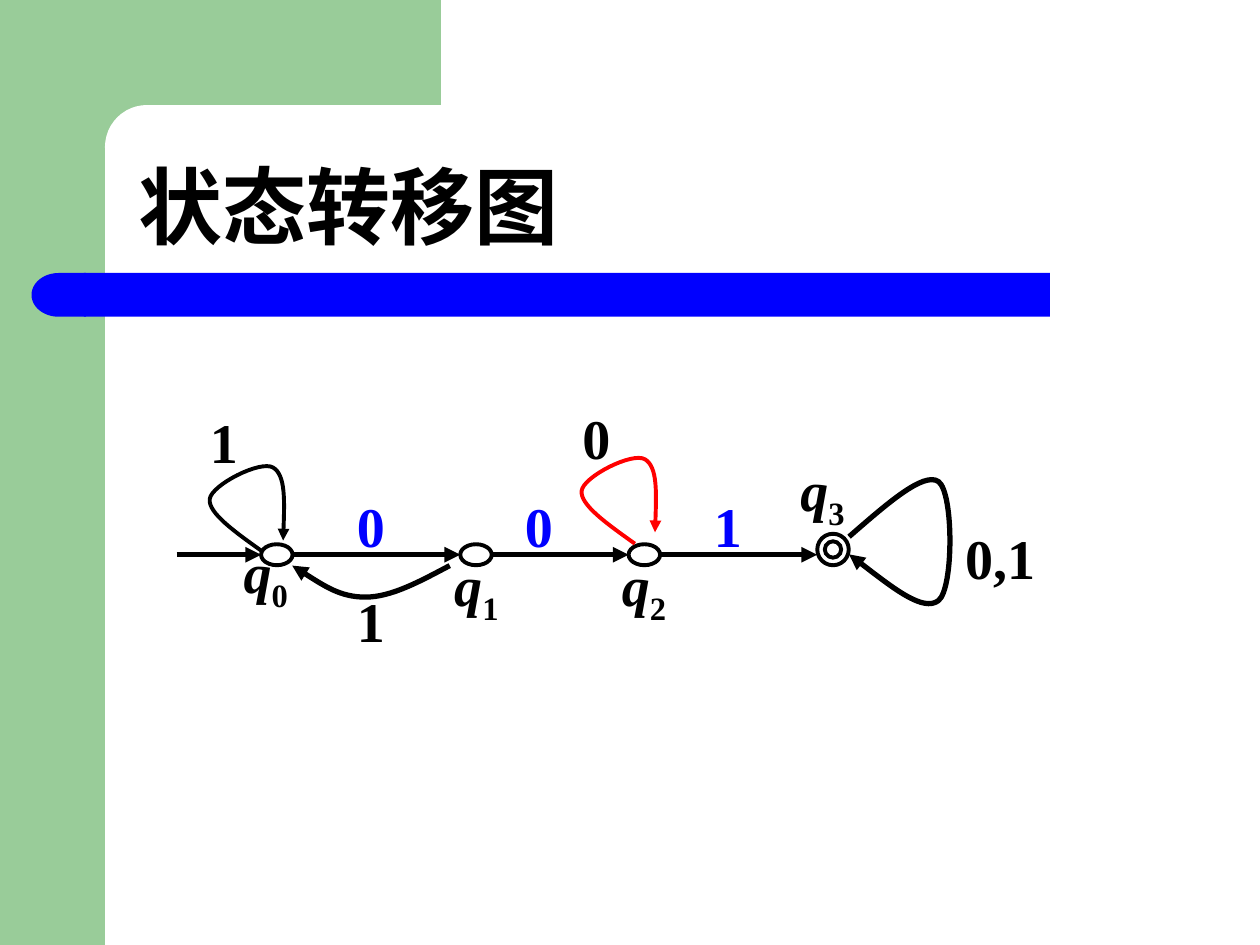
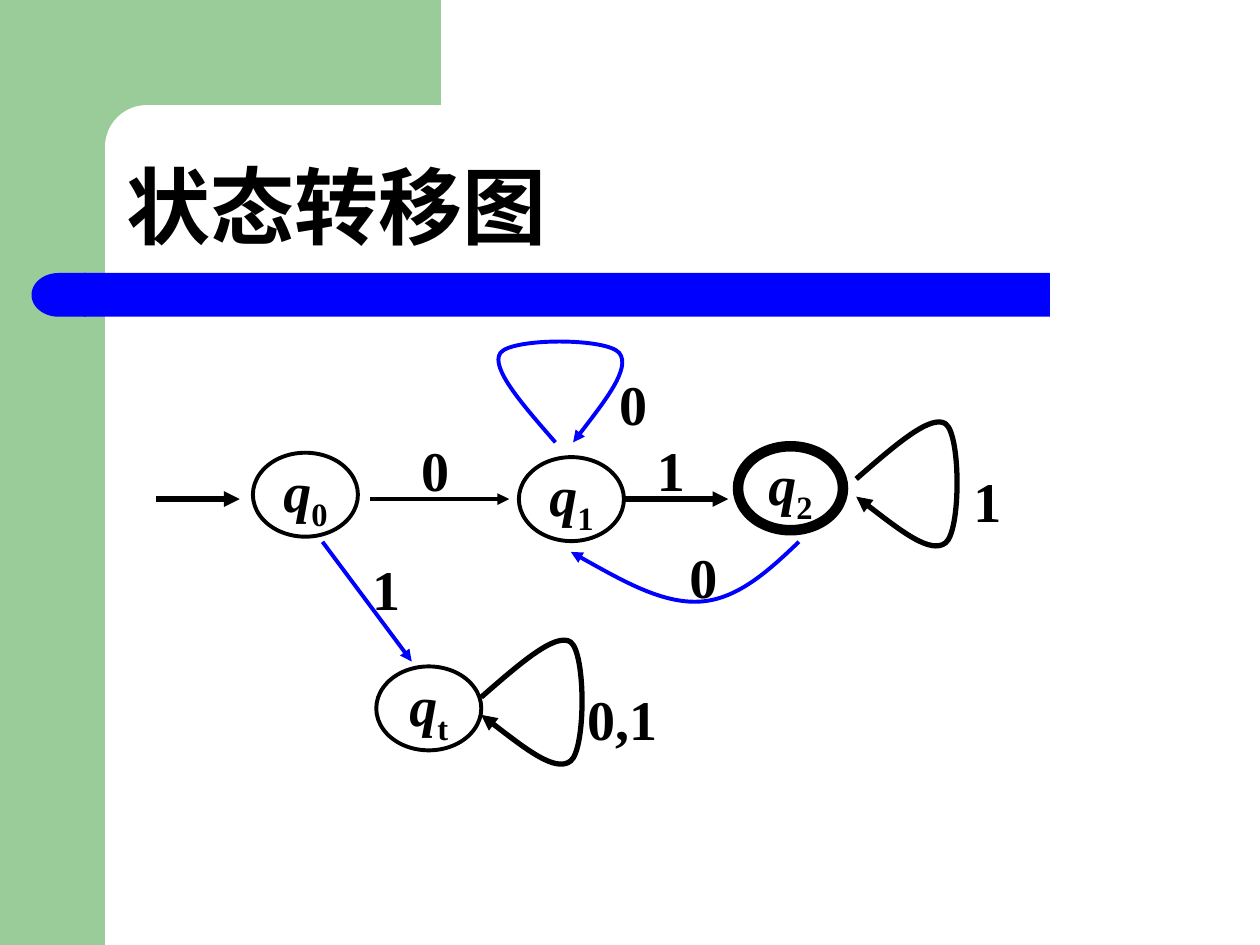
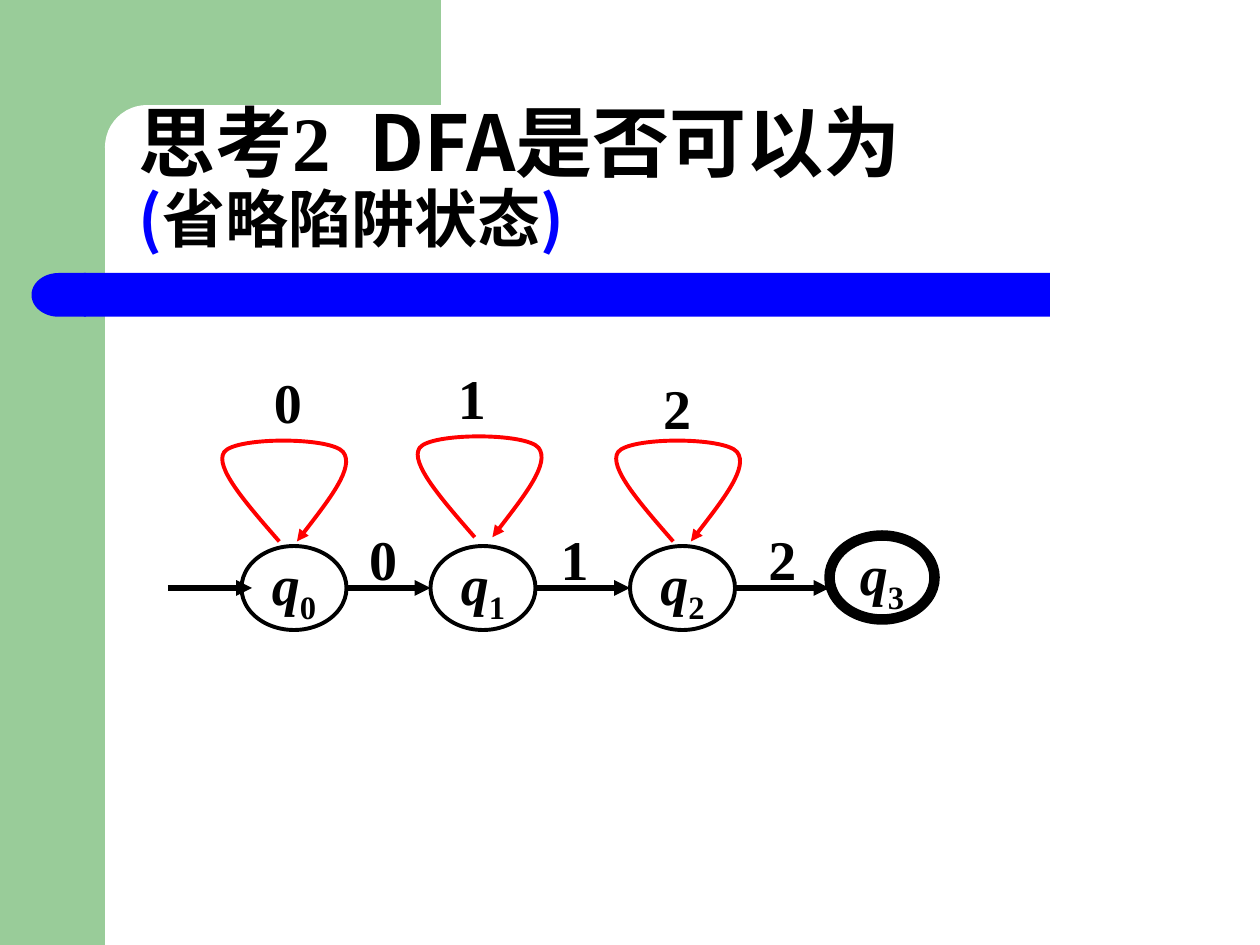
from dataclasses import dataclass

import lxml.etree
import pptx
import pptx.dml.color
import pptx.enum.shapes
import pptx.enum.text
import pptx.oxml.ns
import pptx.util

Pt = pptx.util.Pt
Preset = pptx.enum.shapes.MSO_SHAPE
Anchor = pptx.enum.text.MSO_ANCHOR
Align = pptx.enum.text.PP_ALIGN
qn = pptx.oxml.ns.qn

BLACK, WHITE, BLUE, RED, GREEN = "000000", "FFFFFF", "0000FF", "FF0000", "99CC99"
LATIN, CHINESE = "Times New Roman", "Noto Sans CJK SC"
THIN, THICK, ACCEPTING = 2.25, 3, 6
STATE_WIDTH, STATE_HEIGHT = 60, 48
DOT_WIDTH, DOT_HEIGHT = 18, 12
UPWARD = 270

RIGHT_LOOP = [(0, 0), (21.5, -18.7), (42.7, -37.4), (51.1, -31.5),
              (59.8, -25), (59.8, 29.5), (51.1, 36.5),
              (42.5, 43.2), (21.5, 26.6), (0, 10.1)]
LEFT_LOOP = [(0, 0), (-15.7, -11.2), (-31.5, -22.3), (-30.4, -30.2),
             (-29.5, -38.2), (-1.4, -52.6), (5.8, -48.2),
             (13, -43.9), (12.2, -25.2), (11.5, -6.5)]
SHALLOW_ARC = [(0, 0), (-16.5, 8.7), (-33.1, 18), (-48.2, 18),
               (-62.6, 18), (-76.3, 8.7), (-90, 0)]
DEEP_ARC = [(0, 0), (-17.3, 16.6), (-35.3, 33.1), (-56.9, 34.2),
            (-78.5, 35.3), (-104.5, 20.2), (-130.3, 5.8)]


@dataclass
class Block:
    preset: int
    left: float
    top: float
    width: float
    height: float
    color: str
    rotation: float = 0


@dataclass
class State:
    subscript: str
    left: float
    top: float
    weight: float = THIN


@dataclass
class Label:
    text: str
    left: float
    top: float
    width: float = 18
    color: str = BLACK
    subscript: str = ""


@dataclass
class Arrow:
    start: tuple[float, float]
    end: tuple[float, float]
    weight: float = THICK
    color: str = BLACK


@dataclass
class Curve:
    outline: list[tuple[float, float]]
    left: float
    top: float
    weight: float = THIN
    color: str = BLACK
    rotation: float = 0


@dataclass
class TitleRun:
    text: str
    font: str = CHINESE
    size: float = 48
    color: str = BLACK
    spacing: float = 0


BACKDROP = [
    Block(Preset.RECTANGLE, 0, 0, 60, 540, GREEN),
    Block(Preset.RECTANGLE, 54, 0, 198, 84, GREEN),
    Block(Preset.ROUNDED_RECTANGLE, 60, 60, 402, 48, WHITE),
    Block(Preset.RECTANGLE, 48, 156, 552, 25, BLUE),
    Block(Preset.FLOWCHART_DELAY, 18, 156, 31, 25, BLUE, 180),
]


def rgb(color: str) -> pptx.dml.color.RGBColor:
    return pptx.dml.color.RGBColor.from_string(color)


def style_line(shape, weight: float, color: str, arrow: bool = False) -> None:
    shape.line.width = Pt(weight)
    shape.line.color.rgb = rgb(color)
    if arrow:
        line = shape.element.spPr.find(qn("a:ln"))
        lxml.etree.SubElement(line, qn("a:tailEnd"), type="triangle")


def style_font(font, name: str, size: float, color: str) -> None:
    font.name = name
    font.size = Pt(size)
    font.bold = True
    font.color.rgb = rgb(color)


def draw_backdrop(page, layout) -> None:
    for index, block in enumerate(BACKDROP):
        shape = page.shapes.add_shape(block.preset, Pt(block.left), Pt(block.top),
                                      Pt(block.width), Pt(block.height))
        shape.shadow.inherit = False
        shape.rotation = block.rotation
        shape.fill.solid()
        shape.fill.fore_color.rgb = rgb(block.color)
        shape.line.fill.background()
        if block.preset == Preset.ROUNDED_RECTANGLE:
            shape.adjustments[0] = 0.5
        shape.element.nvSpPr.cNvPr.id = 101 + index
        layout.shapes.element.insert(2 + index, shape.element)


def draw_title(page, lines: list[list[TitleRun]], left: float = 72, top: float = 60) -> None:
    title = page.shapes.title
    title.left, title.top, title.width, title.height = Pt(left), Pt(top), Pt(630), Pt(90)
    frame = title.text_frame
    frame.vertical_anchor = Anchor.BOTTOM
    frame.auto_size = pptx.enum.text.MSO_AUTO_SIZE.NONE
    para = frame.paragraphs[0]
    para.alignment = Align.LEFT
    para.line_spacing = 0.9
    first = lines[0][0]
    style_font(para.font, first.font, first.size, first.color)
    defaults = para._p.pPr.find(qn("a:defRPr"))
    lxml.etree.SubElement(defaults, qn("a:ea"), typeface=CHINESE)
    for index, line in enumerate(lines):
        if index:
            para.add_line_break()
        for part in line:
            span = para.add_run()
            span.text = part.text
            if part != first:
                style_font(span.font, part.font, part.size, part.color)
            if part.spacing:
                span._r.get_or_add_rPr().set("spc", str(round(part.spacing * 100)))


def write_symbol(frame, text: str, subscript: str = "", color: str = BLACK) -> None:
    frame.vertical_anchor = Anchor.MIDDLE
    para = frame.paragraphs[0]
    para.alignment = Align.CENTER
    style_font(para.font, LATIN, 32, color)
    span = para.add_run()
    span.text = text
    if subscript:
        span.font.italic = True
        lower = para.add_run()
        lower.text = subscript
        lower._r.get_or_add_rPr().set("baseline", "-25000")


def draw_ring(page, preset, left: float, top: float, width: float, height: float,
              weight: float = THIN):
    ring = page.shapes.add_shape(preset, Pt(left), Pt(top), Pt(width), Pt(height))
    ring.shadow.inherit = False
    ring.fill.background()
    style_line(ring, weight, BLACK)
    return ring


def draw_state(page, state: State) -> None:
    ring = draw_ring(page, Preset.OVAL, state.left, state.top,
                     STATE_WIDTH, STATE_HEIGHT, state.weight)
    ring.text_frame.word_wrap = False
    write_symbol(ring.text_frame, "q", state.subscript)


def draw_label(page, label: Label) -> None:
    box = page.shapes.add_textbox(Pt(label.left), Pt(label.top), Pt(label.width), Pt(38.4))
    frame = box.text_frame
    frame.word_wrap = True
    frame.margin_left = frame.margin_right = frame.margin_top = frame.margin_bottom = 0
    write_symbol(frame, label.text, label.subscript, label.color)


def draw_arrow(page, arrow: Arrow) -> None:
    connector = page.shapes.add_connector(
        pptx.enum.shapes.MSO_CONNECTOR.STRAIGHT,
        *(Pt(value) for value in arrow.start + arrow.end))
    style_line(connector, arrow.weight, arrow.color, arrow=True)
    lxml.etree.SubElement(connector.element.spPr, qn("a:effectLst"))


def bend_segments(shape) -> None:
    segments = list(shape.element.spPr.iter(qn("a:lnTo")))
    for first in range(0, len(segments), 3):
        bezier = lxml.etree.Element(qn("a:cubicBezTo"))
        segments[first].addprevious(bezier)
        for segment in segments[first:first + 3]:
            bezier.append(segment[0])
            segment.getparent().remove(segment)


def draw_curve(page, curve: Curve) -> None:
    points = [(Pt(curve.left + x), Pt(curve.top + y)) for x, y in curve.outline]
    builder = page.shapes.build_freeform(*points[0])
    builder.add_line_segments(points[1:], close=False)
    shape = builder.convert_to_shape()
    bend_segments(shape)
    shape.rotation = curve.rotation
    shape.shadow.inherit = False
    shape.fill.background()
    style_line(shape, curve.weight, curve.color, arrow=True)


DRAWERS = {State: draw_state, Label: draw_label, Arrow: draw_arrow, Curve: draw_curve}


def draw_items(page, items: list) -> None:
    for item in items:
        DRAWERS[type(item)](page, item)


def chain(entry: float, lefts: list[float], width: float, middle: float) -> list[Arrow]:
    starts = [entry] + [left + width for left in lefts]
    return [Arrow((start, middle), (end, middle)) for start, end in zip(starts, lefts)]


def draw_small_state_diagram(page) -> None:
    draw_title(page, [[TitleRun("状态转移图")]])
    lefts = [149.2, 263, 359.2, 467]
    for left in lefts[:-1]:
        draw_ring(page, Preset.OVAL, left, 311, DOT_WIDTH, DOT_HEIGHT)
    donut = draw_ring(page, Preset.DONUT, lefts[-1], 305, DOT_WIDTH, DOT_WIDTH)
    donut.adjustments[0] = 0.24
    draw_items(page, chain(101, lefts, DOT_WIDTH, 317) + [
        Label("q", 130.8, 310, 42, subscript="0"),
        Label("q", 251.2, 317, 42, subscript="1"),
        Label("q", 347, 317, 42, subscript="2"),
        Label("q", 449, 263, 42, subscript="3"),
        Label("0", 203, 281, color=BLUE),
        Label("0", 299, 281, color=BLUE),
        Label("1", 407, 281, color=BLUE),
        Label("1", 119, 233),
        Label("1", 203, 335),
        Label("0", 331.8, 230.4),
        Label("0,1", 550.5, 299, 42),
        Curve(LEFT_LOOP, 150.3, 315.4),
        Curve(LEFT_LOOP, 362.8, 310.7, color=RED),
        Curve(SHALLOW_ARC, 257, 323.2, THICK),
        Curve(RIGHT_LOOP, 485.2, 306.7, THICK),
    ])


def draw_trap_state_diagram(page) -> None:
    draw_title(page, [[TitleRun("状态转移图")]], 65, 60.5)
    draw_items(page, [
        Arrow((89.2, 285.2), (137, 285.2)),
        Arrow((211.7, 285.2), (291, 285.2), THIN),
        Arrow((356.4, 285.2), (416.2, 285.2)),
        Arrow((184.3, 309.6), (235.3, 378), THIN, BLUE),
        Curve(RIGHT_LOOP, 290.4, 220, color=BLUE, rotation=UPWARD),
        Curve(RIGHT_LOOP, 489.3, 273.7, THICK),
        Curve(RIGHT_LOOP, 275, 398.4, THICK),
        Curve(DEEP_ARC, 456.5, 309.6, color=BLUE),
        State("0", 144.5, 258.7),
        State("1", 296.5, 261.2),
        State("2", 421.7, 255, ACCEPTING),
        State("t", 215, 380.8),
        Label("0", 239.7, 249),
        Label("1", 374.4, 249),
        Label("0", 334.8, 211.2, 54),
        Label("1", 543.3, 266.4, 42),
        Label("0", 393, 309.8),
        Label("1", 211.7, 316.8),
        Label("0,1", 334.5, 391, 42),
    ])


def draw_reduced_diagram(page) -> None:
    draw_title(page, [
        [TitleRun("思考2", LATIN, 44), TitleRun(" ", LATIN, 44, spacing=11),
         TitleRun("DFA是否可以为", size=44)],
        [TitleRun("(", size=36, color=BLUE), TitleRun("省略陷阱状态", LATIN, 36),
         TitleRun(")", size=36, color=BLUE)],
    ])
    lefts = [138, 246, 360, 474]
    entry, *transitions = chain(96, lefts, STATE_WIDTH, 336)
    entry.end = (144, 336)
    draw_items(page, [entry, *transitions])
    draw_items(page, [State(str(index), left, 312) for index, left in enumerate(lefts[:-1])])
    draw_items(page, [
        State("3", lefts[-1], 306, ACCEPTING),
        Curve(RIGHT_LOOP, 132.6, 276.6, color=RED, rotation=UPWARD),
        Curve(RIGHT_LOOP, 244.3, 274.2, color=RED, rotation=UPWARD),
        Curve(RIGHT_LOOP, 357.7, 276.6, color=RED, rotation=UPWARD),
        Label("0", 155.5, 210),
        Label("1", 260.6, 207.5),
        Label("2", 360, 213.2, 54),
        Label("0", 210, 300),
        Label("1", 319.4, 300),
        Label("2", 438, 300),
    ])


def main() -> None:
    deck = pptx.Presentation()
    deck.slide_width, deck.slide_height = Pt(720), Pt(540)
    layout = deck.slide_layouts.get_by_name("Title Only")
    diagrams = [draw_small_state_diagram, draw_trap_state_diagram, draw_reduced_diagram]
    pages = [deck.slides.add_slide(layout) for _ in diagrams]
    draw_backdrop(pages[0], layout)
    for page, draw_diagram in zip(pages, diagrams):
        draw_diagram(page)
    deck.save("out.pptx")


if __name__ == "__main__":
    main()
